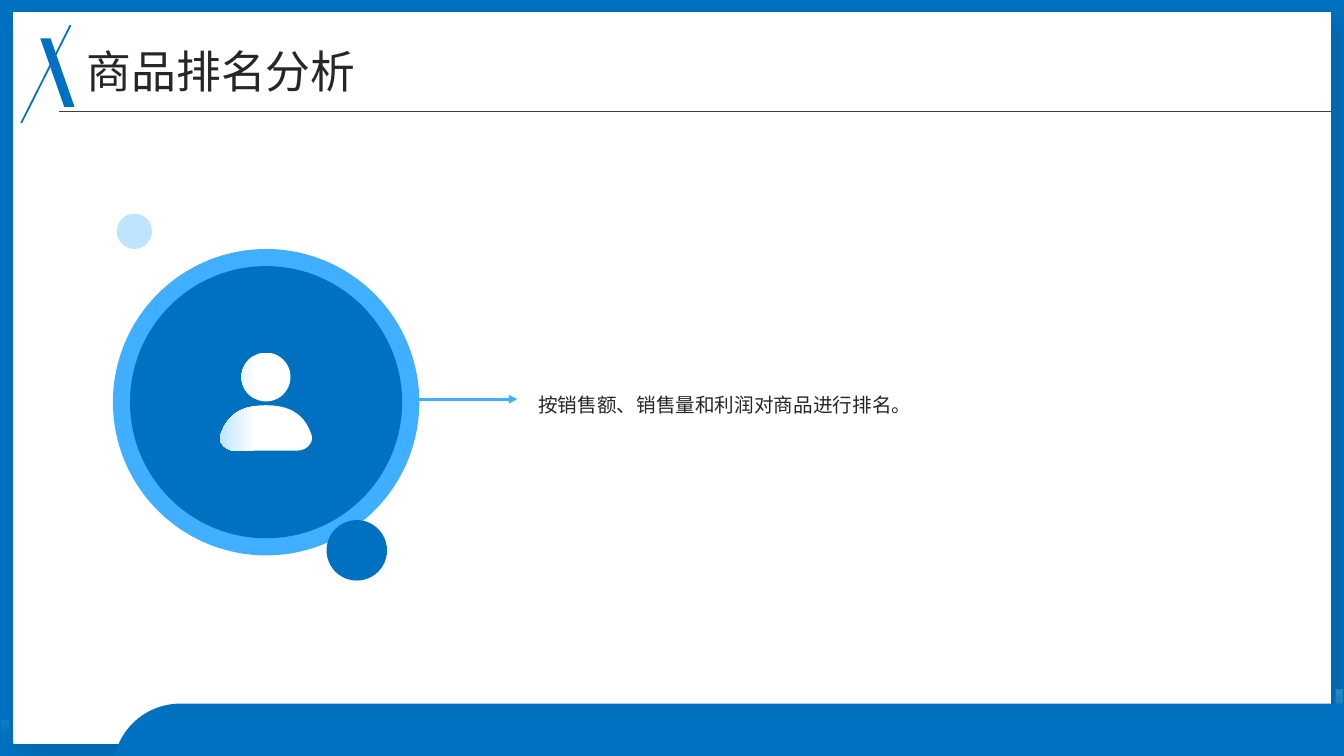
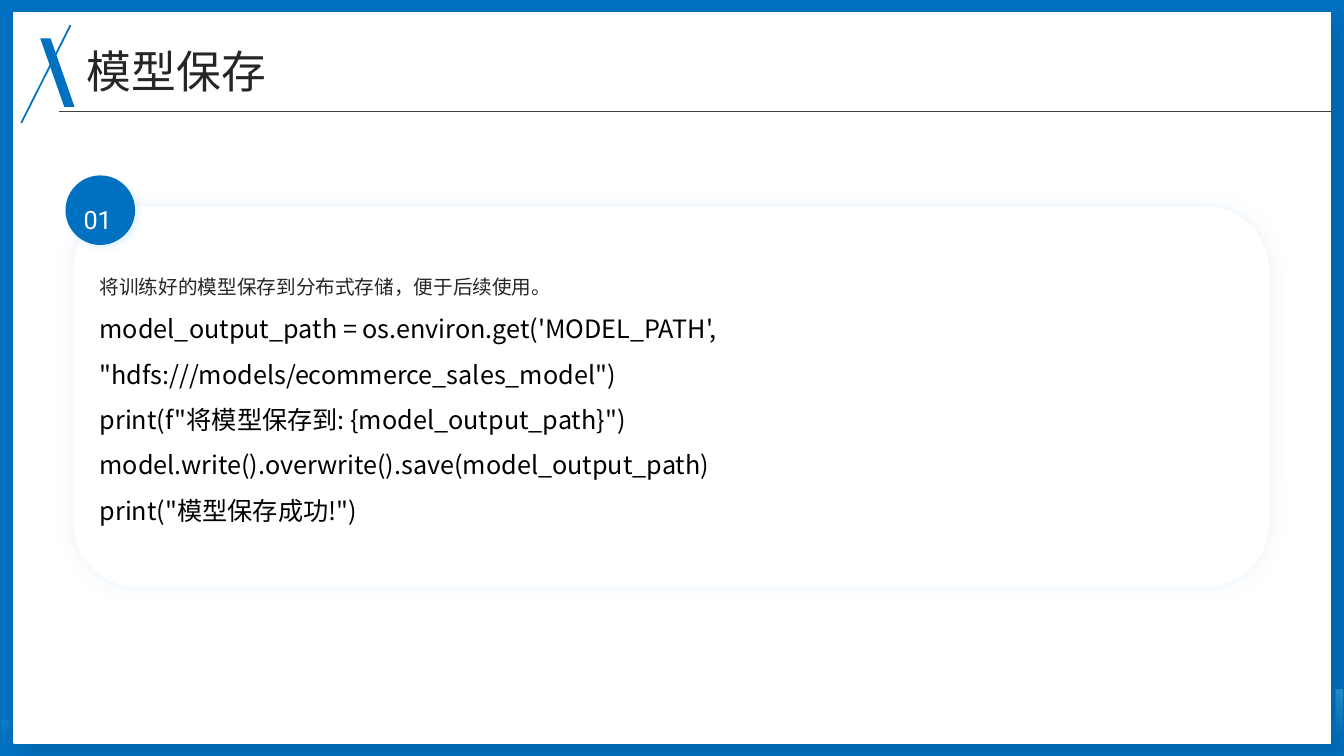
"""Build two slides on product ranking and model saving."""
import math

import lxml.etree
import pptx
import pptx.dml.color
import pptx.enum.shapes
import pptx.enum.text
import pptx.oxml.ns
import pptx.util

W, H = pptx.util.Inches(13.333), pptx.util.Inches(7.5)
COLORS = {
    "blue": "0070C0", "sky": "40AFFF", "pale": "BFE4FF", "aqua": "7AE8F0",
    "white": "FFFFFF", "black": "000000", "ink": "262626", "rule": "404040",
}
FONT, NUMBER_FONT = "Noto Sans CJK SC", "Roboto"
SHAPE = pptx.enum.shapes.MSO_SHAPE
ANCHOR = pptx.enum.text.MSO_ANCHOR
qn = pptx.oxml.ns.qn


def rgb(name):
    """Return a named colour."""
    return pptx.dml.color.RGBColor.from_string(COLORS[name])


def px(share):
    """Turn a percentage of the slide width into a length."""
    return round(W * share / 100)


def py(share):
    """Turn a percentage of the slide height into a length."""
    return round(H * share / 100)


def area(x, y, w, h):
    """Turn a rectangle in slide percentages into lengths."""
    return px(x), py(y), px(w), py(h)


def add_shadow(sp, color, alpha, blur, dist, angle):
    """Give a shape an outer shadow."""
    effects = sp._element.spPr.find(qn("a:effectLst"))
    shadow = lxml.etree.SubElement(
        effects, qn("a:outerShdw"), blurRad=str(pptx.util.Pt(blur)),
        dist=str(pptx.util.Pt(dist)), dir=str(angle * 60000),
        algn="ctr", rotWithShape="0")
    clr = lxml.etree.SubElement(shadow, qn("a:srgbClr"), val=COLORS[color])
    lxml.etree.SubElement(clr, qn("a:alpha"), val=str(alpha * 1000))


def paint(sp, fill):
    """Give a shape a plain fill without line or shadow."""
    sp.shadow.inherit = False
    sp.fill.solid()
    sp.fill.fore_color.rgb = rgb(fill)
    sp.line.fill.background()
    return sp


def paint_gradient(sp, angle, stops):
    """Fill a shape with two stops of position, colour and opacity."""
    sp.shadow.inherit = False
    sp.line.fill.background()
    sp.fill.gradient()
    sp.fill.gradient_angle = angle
    for stop, (position, color, alpha) in zip(sp.fill.gradient_stops, stops):
        stop.position = position
        stop.color.rgb = rgb(color)
        clr = stop._gs.find(qn("a:srgbClr"))
        lxml.etree.SubElement(clr, qn("a:alpha"), val=str(alpha * 1000))


def add_block(slide, kind, box, fill):
    """Add a preset shape placed in slide percentages."""
    return paint(slide.shapes.add_shape(kind, *area(*box)), fill)


def add_circle(slide, cx, cy, d, fill):
    """Add a circle by its centre and its share of the slide height."""
    r = py(d) // 2
    return paint(slide.shapes.add_shape(
        SHAPE.OVAL, px(cx) - r, py(cy) - r, 2 * r, 2 * r), fill)


def add_outline(slide, contours):
    """Add a freeform from closed contours in slide percentages."""
    fb = None
    for contour in contours:
        (x, y), *rest = [(px(a), py(b)) for a, b in contour]
        if fb is None:
            fb = slide.shapes.build_freeform(x, y)
        else:
            fb.move_to(x, y)
        fb.add_line_segments(rest, close=True)
    return fb.convert_to_shape()


def add_line(slide, start, end, color, width, arrow=False):
    """Add a straight line, with an arrowhead at its end if asked."""
    cn = slide.shapes.add_connector(
        pptx.enum.shapes.MSO_CONNECTOR.STRAIGHT,
        px(start[0]), py(start[1]), px(end[0]), py(end[1]))
    cn.line.color.rgb = rgb(color)
    cn.line.width = pptx.util.Pt(width)
    if arrow:
        lxml.etree.SubElement(cn.line._ln, qn("a:tailEnd"), type="triangle")
    lxml.etree.SubElement(cn._element.spPr, qn("a:effectLst"))


def add_text(slide, box, lines, spacing=1.5, font=FONT, inset=0.0,
             anchor=ANCHOR.MIDDLE):
    """Add a text box from lines of text, size and colour."""
    tf = slide.shapes.add_textbox(*area(*box)).text_frame
    tf.word_wrap = True
    tf.vertical_anchor = anchor
    tf.margin_left = tf.margin_right = pptx.util.Inches(inset)
    tf.margin_top = tf.margin_bottom = pptx.util.Inches(inset / 2)
    for i, (text, size, color) in enumerate(lines):
        p = tf.add_paragraph() if i else tf.paragraphs[0]
        p.text = text
        p.line_spacing = spacing
        r = p.runs[0]
        r.font.size = pptx.util.Pt(size)
        r.font.color.rgb = rgb(color)
        r.font.name = font
        lxml.etree.SubElement(r._r.rPr, qn("a:ea"), typeface=font)


def bezier(a, b, c, d, steps=12):
    """Return points along a cubic curve, both ends included."""
    return [tuple((1 - t) ** 3 * a[k] + 3 * t * (1 - t) ** 2 * b[k]
                  + 3 * t * t * (1 - t) * c[k] + t ** 3 * d[k]
                  for k in (0, 1))
            for t in (i / steps for i in range(steps + 1))]


def add_person(slide, cx):
    """Add the person icon centred on a share of the width."""
    side = bezier((0, 53.6), (2.18, 53.6), (3, 55.47), (3.37, 57.47))
    side += bezier(side[-1], (3.6, 58.53), (3, 59.6), (2.33, 59.6))[1:]
    body = [(cx + x, y) for x, y in side]
    body += [(cx - x, y) for x, y in reversed(side[1:])]
    turns = [math.tau * i / 48 for i in range(48)]
    head = [(cx + 1.82 * math.cos(t), 49.87 + 3.23 * math.sin(t))
            for t in turns]
    paint_gradient(add_outline(slide, [body, head]), 180,
                   [(0.62, "white", 100), (1, "pale", 100)])


def add_frame(prs, title):
    """Add a slide with the shared border, title and rule."""
    slide = prs.slides.add_slide(prs.slide_layouts[6])
    add_block(slide, SHAPE.RECTANGLE, (0, 0, 100, 100), "blue")
    bars = [[(x, y), (x + 0.56, y), (x + 0.56, 100), (x, 100)]
            for x, y in ((0.15, 95.2), (99.3, 91.2))]
    paint_gradient(add_outline(slide, bars), 270,
                   [(0, "aqua", 30), (0.73, "aqua", 0)])
    panel = add_block(slide, SHAPE.RECTANGLE,
                      (1.05, 1.73, 97.95, 96.53), "white")
    panel.line.color.rgb = rgb("white")
    panel.line.width = pptx.util.Pt(1)
    add_shadow(panel, "black", 10, 15, 10, 45)
    add_text(slide, (6.45, 5.87, 88.05, 6.27), [(title, 32, "ink")], 1.1)
    slant = add_block(slide, SHAPE.PARALLELOGRAM,
                      (3, 5.07, 2.55, 9.07), "blue")
    slant.adjustments[0] = 0.7
    slant._element.spPr.xfrm.set("flipH", "1")
    add_line(slide, (5.25, 3.33), (1.58, 16.27), "blue", 1.25)
    add_line(slide, (4.4, 14.75), (99, 14.75), "rule", 0.75)
    return slide


def add_ranking(prs):
    """Add the product ranking slide."""
    slide = add_frame(prs, "商品排名分析")
    add_text(slide, (40.05, 30.4, 49.8, 44.8),
             [("按销售额、销售量和利润对商品进行排名。", 14, "ink")])
    add_line(slide, (28.6, 52.8), (38.5, 52.8), "sky", 2, arrow=True)
    for circle in ((19.8, 53.2, 40.53, "sky"), (19.8, 53.2, 36, "blue"),
                   (10, 30.6, 4.67, "pale"), (26.55, 72.8, 8, "blue")):
        add_circle(slide, *circle)
    add_person(slide, 19.8)
    band = add_block(slide, SHAPE.ROUNDED_RECTANGLE,
                     (8.4, 93.07, 98.33, 17.87), "blue")
    band.adjustments[0] = 0.5


def add_saving(prs):
    """Add the model saving slide."""
    slide = add_frame(prs, "模型保存")
    card = add_block(slide, SHAPE.ROUNDED_RECTANGLE,
                     (5.48, 27.33, 88.95, 50.27), "white")
    add_shadow(card, "blue", 8, 15, 0, 0)
    badge = add_circle(slide, 7.46, 27.8, 9.2, "blue")
    add_shadow(badge, "pale", 40, 4, 3, 45)
    add_text(slide, (5.48, 24.4, 9.53, 6.93), [("01", 18, "white")],
             font=NUMBER_FONT, inset=0.1, anchor=ANCHOR.TOP)
    code = (
        "model_output_path = os.environ.get('MODEL_PATH', "
        "\"hdfs:///models/ecommerce_sales_model\")",
        "print(f\"将模型保存到: {model_output_path}\")",
        "model.write().overwrite().save(model_output_path)",
        "print(\"模型保存成功!\")",
    )
    add_text(slide, (6.68, 33.07, 85.13, 38.13),
             [("将训练好的模型保存到分布式存储，便于后续使用。", 14, "ink")]
             + [(line, 18, "black") for line in code], inset=0.1)


def main():
    """Build and save the presentation."""
    prs = pptx.Presentation()
    prs.slide_width, prs.slide_height = W, H
    add_ranking(prs)
    add_saving(prs)
    prs.save("out.pptx")


if __name__ == "__main__":
    main()
